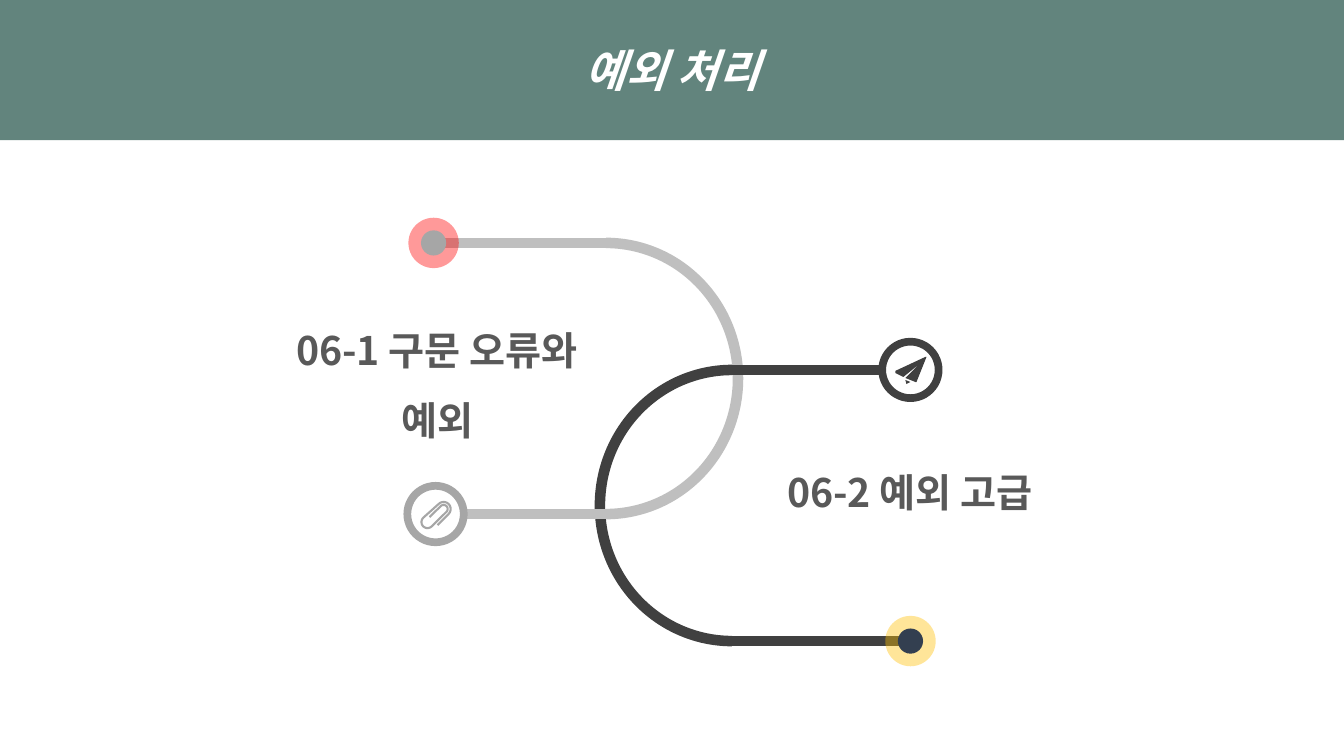
from dataclasses import dataclass
from math import cos, radians, sin

from lxml.etree import SubElement
from pptx import Presentation
from pptx.dml.color import RGBColor
from pptx.enum.shapes import MSO_CONNECTOR as CONNECTOR, MSO_SHAPE as SHAPE
from pptx.enum.text import MSO_ANCHOR as ANCHOR, PP_ALIGN as ALIGN
from pptx.oxml.ns import qn
from pptx.util import Inches, Pt

FONT = "Noto Sans CJK KR"
LANE_WIDTH, LANE_HEIGHT = 3.08, 2.69
BEND_WIDTH = 1.31
RAIL_LENGTH = LANE_WIDTH - BEND_WIDTH
RAIL_WEIGHT = 7.5
DOT_SIZE, BADGE_SIZE = 0.25, 0.56


@dataclass
class Lane:
    left: float
    top: float
    color: str
    mirrored: bool

    @property
    def bend_left(self):
        return self.left if self.mirrored else self.left + RAIL_LENGTH

    @property
    def rail_left(self):
        return self.left + BEND_WIDTH if self.mirrored else self.left


def rgb(color):
    return RGBColor.from_string(color)


def paint(shape, fill=None, line=None, weight=0):
    shape.shadow.inherit = False
    if fill:
        shape.fill.solid()
        shape.fill.fore_color.rgb = rgb(fill)
    else:
        shape.fill.background()
    if line:
        shape.line.color.rgb = rgb(line)
        shape.line.width = Pt(weight)
    else:
        shape.line.fill.background()


def add_text(frame, text, size, color, italic=False):
    frame.word_wrap = True
    paragraph = frame.paragraphs[0]
    paragraph.alignment = ALIGN.CENTER
    run = paragraph.add_run()
    run.text = text
    font = run.font
    font.name, font.size = FONT, Pt(size)
    font.bold, font.italic = True, italic
    font.color.rgb = rgb(color)
    SubElement(run._r.get_or_add_rPr(), qn("a:ea"), typeface=FONT)
    return paragraph


def add_title(slide, text, left, top, width, height):
    title = slide.shapes.title
    title.left, title.top = Inches(left), Inches(top)
    title.width, title.height = Inches(width), Inches(height)
    title.fill.solid()
    title.fill.fore_color.rgb = rgb("62847D")
    title.text_frame.vertical_anchor = ANCHOR.MIDDLE
    add_text(title.text_frame, text, 32, "FFFFFF", italic=True)


def add_bend(slide, lane):
    bend = slide.shapes.add_shape(
        SHAPE.RIGHT_BRACKET, Inches(lane.bend_left), Inches(lane.top),
        Inches(BEND_WIDTH), Inches(LANE_HEIGHT))
    bend.adjustments[0] = 1.03
    bend.rotation = 180 if lane.mirrored else 0
    paint(bend, line=lane.color, weight=RAIL_WEIGHT)


def add_rails(slide, lane):
    for y in (lane.top, lane.top + LANE_HEIGHT):
        rail = slide.shapes.add_connector(
            CONNECTOR.STRAIGHT, Inches(lane.rail_left), Inches(y),
            Inches(lane.rail_left + RAIL_LENGTH), Inches(y))
        rail.line.color.rgb = rgb(lane.color)
        rail.line.width = Pt(RAIL_WEIGHT)
        SubElement(rail._element.spPr, qn("a:effectLst"))


def add_circle(slide, x, y, size):
    return slide.shapes.add_shape(
        SHAPE.OVAL, Inches(x - size / 2), Inches(y - size / 2), Inches(size), Inches(size))


def add_dot(slide, x, y, fill, halo):
    dot = add_circle(slide, x, y, DOT_SIZE)
    paint(dot, fill)
    effects = dot._element.spPr.find(qn("a:effectLst"))
    shadow = SubElement(effects, qn("a:outerShdw"), sx="200000", sy="200000",
                        algn="ctr", rotWithShape="0")
    color = SubElement(shadow, qn("a:srgbClr"), val=halo)
    SubElement(color, qn("a:alpha"), val="40000")


def add_outline(slide, x, y, contours, close):
    points = [[(Inches(x + dx), Inches(y + dy)) for dx, dy in contour] for contour in contours]
    builder = slide.shapes.build_freeform(*points[0][0])
    builder.add_line_segments(points[0][1:], close=close)
    for contour in points[1:]:
        builder.move_to(*contour[0])
        builder.add_line_segments(contour[1:], close=close)
    return builder.convert_to_shape()


def add_plane(slide, x, y, color):
    tail = [(-0.05, 0.1), (0, 0.12), (-0.04, 0.14)]
    wings = [(0.16, -0.13), (0.06, 0.12), (0.05, 0.12), (-0.05, 0.08), (0.09, -0.06),
             (-0.07, 0.07), (-0.15, 0.03), (-0.15, 0.01), (0.15, -0.13)]
    paint(add_outline(slide, x, y, [tail, wings], close=True), color)


def half_turn(x, y, radius, start, step):
    angles = [radians(start + step * i) for i in range(180 // abs(step) + 1)]
    return [(x + radius * cos(angle), y + radius * sin(angle)) for angle in angles]


def add_clip(slide, x, y, color):
    wire = [(0.02, 0.11),
            *half_turn(0.08, -0.05, 0.07, 45, -15),
            *half_turn(-0.08, 0.08, 0.06, 225, -15),
            *half_turn(0.08, -0.05, 0.04, 45, -15),
            (-0.06, 0.03)]
    paint(add_outline(slide, x, y, [wire], close=False), line=color, weight=1.5)


def add_badge(slide, x, y, color, add_icon):
    paint(add_circle(slide, x, y, BADGE_SIZE), "FFFFFF", color, 5.5)
    add_icon(slide, x, y, color)


def add_label(slide, text, left, top, width, height):
    label = slide.shapes.add_textbox(Inches(left), Inches(top), Inches(width), Inches(height))
    paragraph = add_text(label.text_frame, text, 28, "595959")
    paragraph.line_spacing = 1.5


presentation = Presentation()
presentation.slide_width, presentation.slide_height = Inches(13.33), Inches(7.5)
slide = presentation.slides.add_slide(presentation.slide_layouts[5])
add_title(slide, "예외 처리", 0, 0, 13.33, 1.39)

syntax = Lane(4.24, 2.41, "BFBFBF", mirrored=False)
advanced = Lane(5.95, 3.67, "404040", mirrored=True)
for add_part in (add_bend, add_rails):
    for lane in (syntax, advanced):
        add_part(slide, lane)

advanced_end = advanced.left + LANE_WIDTH
add_dot(slide, syntax.left + 0.06, syntax.top, "A6A6A6", "FF0000")
add_dot(slide, advanced_end, advanced.top + LANE_HEIGHT, "333F50", "FFC000")
add_badge(slide, advanced_end, advanced.top, "404040", add_plane)
add_badge(slide, syntax.left + 0.08, syntax.top + LANE_HEIGHT, "A6A6A6", add_clip)
add_label(slide, "06-2 예외 고급", 7.38, 4.36, 3.29, 0.72)
add_label(slide, "06-1 구문 오류와 예외", 2.69, 2.95, 3.29, 1.42)

presentation.save("out.pptx")
